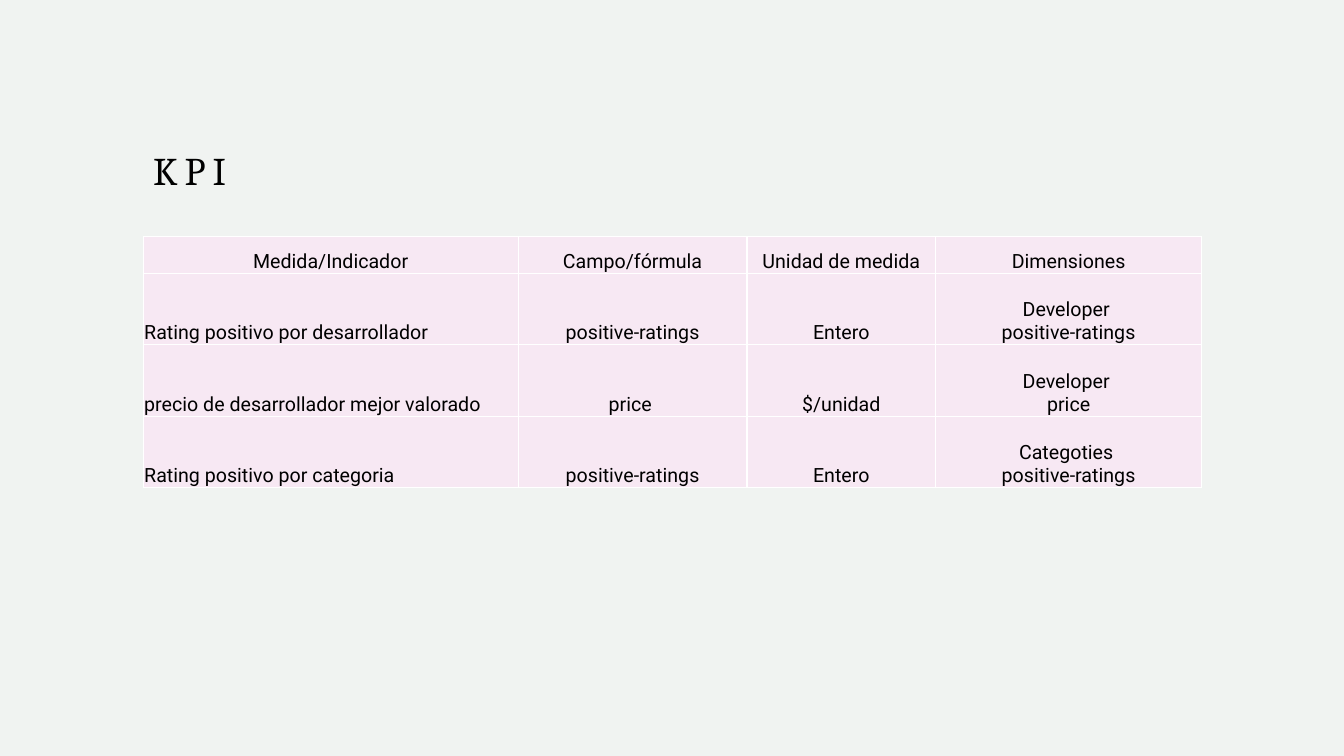
from copy import deepcopy
from dataclasses import dataclass

from lxml.etree import SubElement
from pptx import Presentation
from pptx.dml.color import RGBColor
from pptx.enum.text import MSO_ANCHOR as Anchor, PP_ALIGN as Align
from pptx.oxml.ns import qn
from pptx.util import Inches, Pt

TITLE = "KPI"
ROWS = [
    ("Medida/Indicador", "Campo/fórmula", "Unidad de medida", "Dimensiones"),
    ("Rating positivo por desarrollador", "positive-ratings", "Entero",
     "Developer \vpositive-ratings"),
    ("precio de desarrollador mejor valorado ", "price ", "$/unidad",
     "Developer \vprice"),
    ("Rating positivo por categoria ", "positive-ratings", "Entero",
     "Categoties \vpositive-ratings"),
]
COLUMN_WIDTHS = (3.72, 2.27, 1.87, 2.64)
HEADER_HEIGHT, BODY_HEIGHT = 0.36, 0.71
LEFT, TITLE_TOP, TITLE_HEIGHT = 1.42, 0.92, 1.43


@dataclass(frozen=True)
class Theme:
    """Colours, fonts and type sizes of the slide."""
    background: str = "F0F3F1"
    cell: str = "F7E8F3"
    border: str = "FFFFFF"
    text: str = "000000"
    title_font: str = "Cambria"
    body_font: str = "Roboto"
    title_size: int = 28
    body_size: int = 14


THEME = Theme()


def write_text(frame, text, *, font, size, align=Align.LEFT, line_spacing=None,
               letter_spacing=0):
    """Write one paragraph; a vertical tab in the text is a line break."""
    frame.word_wrap = True
    paragraph = frame.paragraphs[0]
    paragraph.text = text
    paragraph.alignment = align
    paragraph.line_spacing = line_spacing
    for run in paragraph.runs:
        run.font.name = font
        run.font.size = Pt(size)
        run.font.color.rgb = RGBColor.from_string(THEME.text)
        if letter_spacing:
            run.font._element.set("spc", str(letter_spacing * 100))
    for line_break in paragraph._p.findall(qn("a:br")):
        line_break.append(deepcopy(paragraph.runs[0].font._element))


def add_borders(cell):
    """Draw a thin line on all four sides of a cell."""
    properties = cell._tc.get_or_add_tcPr()
    for index, side in enumerate(("lnL", "lnR", "lnT", "lnB")):
        line = SubElement(properties, qn(f"a:{side}"), w=str(Pt(1)))
        fill = SubElement(line, qn("a:solidFill"))
        SubElement(fill, qn("a:srgbClr"), val=THEME.border)
        properties.insert(index, line)


def add_title(slide):
    """Add the spaced-out heading above the table."""
    box = slide.shapes.add_textbox(
        Inches(LEFT), Inches(TITLE_TOP),
        Inches(sum(COLUMN_WIDTHS)), Inches(TITLE_HEIGHT))
    box.text_frame.vertical_anchor = Anchor.MIDDLE
    write_text(box.text_frame, TITLE, font=THEME.title_font,
               size=THEME.title_size, line_spacing=1.2, letter_spacing=5)


def add_indicator_table(slide):
    """Add the table of indicators directly below the title."""
    heights = [HEADER_HEIGHT] + [BODY_HEIGHT] * (len(ROWS) - 1)
    table = slide.shapes.add_table(
        len(ROWS), len(COLUMN_WIDTHS),
        Inches(LEFT), Inches(TITLE_TOP + TITLE_HEIGHT),
        Inches(sum(COLUMN_WIDTHS)), Inches(sum(heights))).table
    table.first_row = table.horz_banding = False
    for column, width in zip(table.columns, COLUMN_WIDTHS):
        column.width = Inches(width)
    for row_index, (values, height) in enumerate(zip(ROWS, heights)):
        table.rows[row_index].height = Inches(height)
        for column_index, value in enumerate(values):
            cell = table.cell(row_index, column_index)
            cell.margin_left = cell.margin_right = cell.margin_top = Inches(0.01)
            cell.margin_bottom = 0
            cell.vertical_anchor = Anchor.BOTTOM
            cell.fill.solid()
            cell.fill.fore_color.rgb = RGBColor.from_string(THEME.cell)
            add_borders(cell)
            is_label = row_index > 0 and column_index == 0
            write_text(cell.text_frame, value, font=THEME.body_font,
                       size=THEME.body_size,
                       align=Align.LEFT if is_label else Align.CENTER)


def main():
    """Build the slide and save it."""
    presentation = Presentation()
    presentation.slide_width = Inches(13.33)
    presentation.slide_height = Inches(7.5)
    slide = presentation.slides.add_slide(presentation.slide_layouts[6])
    slide.background.fill.solid()
    slide.background.fill.fore_color.rgb = RGBColor.from_string(THEME.background)
    add_title(slide)
    add_indicator_table(slide)
    presentation.save("out.pptx")


main()
